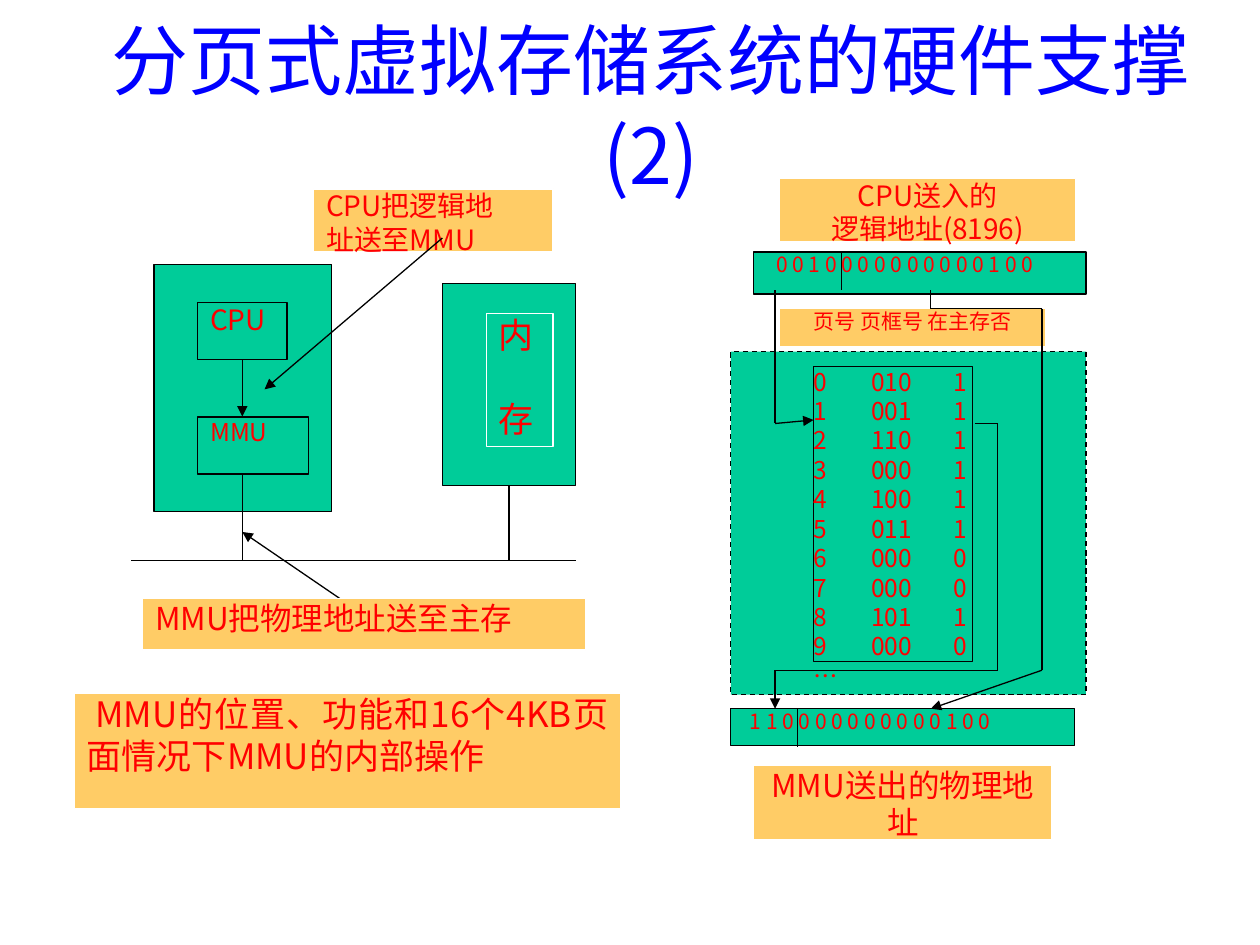
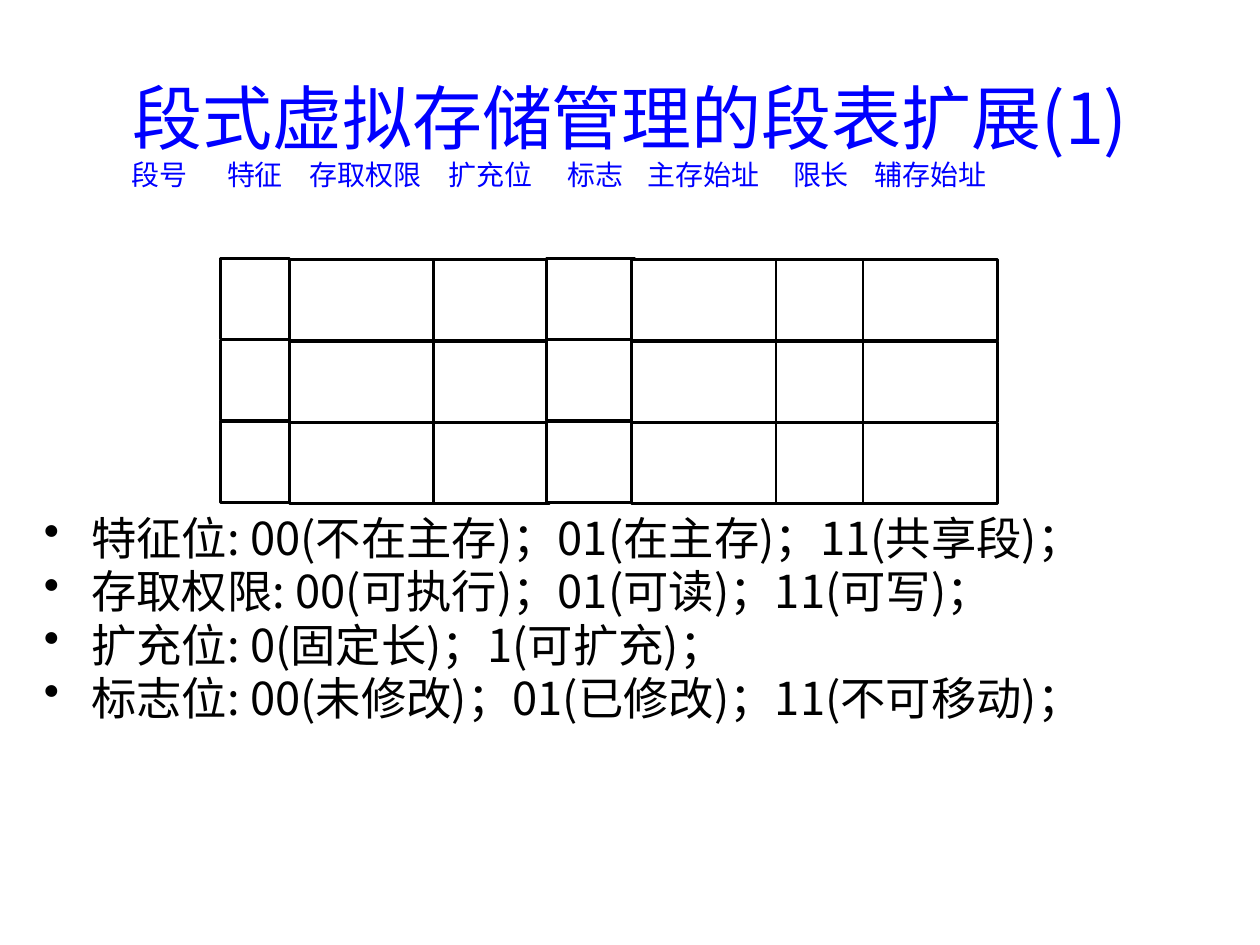
from itertools import pairwise

from lxml.etree import SubElement
from pptx import Presentation
from pptx.dml.color import RGBColor
from pptx.enum.dml import MSO_LINE
from pptx.enum.shapes import MSO_CONNECTOR, MSO_SHAPE
from pptx.enum.text import MSO_ANCHOR, PP_ALIGN
from pptx.oxml.ns import qn
from pptx.util import Pt

BLACK = RGBColor(0x00, 0x00, 0x00)
WHITE = RGBColor(0xFF, 0xFF, 0xFF)
BLUE = RGBColor(0x00, 0x00, 0xFF)
RED = RGBColor(0xFF, 0x00, 0x00)
GREEN = RGBColor(0x00, 0xCC, 0x99)
ORANGE = RGBColor(0xFF, 0xCC, 0x66)

MAIN_FONT = "Noto Sans CJK JP"
LABEL_FONT = "Noto Sans CJK SC"
BOTTOM = 2

PAGE_TABLE = [
    "0\t010\t1", "1\t001\t1", "2\t110\t1", "3\t000\t1", "4\t100\t1", "5\t011\t1",
    "6\t000\t0", "7\t000\t0", "8\t101\t1", "9\t000\t0", "…",
]
# Left and width of each field name
FIELD_NAMES = [
    ("段号", 0, 38), ("特征", 54.7, 38), ("存取权限", 98.6, 77), ("扩充位", 179.3, 58.3),
    ("标志", 242, 52.5), ("主存始址", 288.7, 82.8), ("限长", 377.3, 39.6),
    ("辅存始址", 421.2, 77),
]
# Left, width and vertical shift of each column of the segment table
FIELD_COLUMNS = [
    (54, 39.6, -0.7), (93.6, 82.8, 0), (175.7, 66.2, 0), (240.5, 50.4, -0.7),
    (288.7, 82.8, 0), (371.5, 51.1, 0), (421.2, 77, 0),
]
BIT_MEANINGS = [
    "特征位: 00(不在主存)；01(在主存)；11(共享段)；",
    "存取权限: 00(可执行)；01(可读)；11(可写)；",
    "扩充位: 0(固定长)；1(可扩充)；",
    "标志位: 00(未修改)；01(已修改)；11(不可移动)；",
]


def write(box, text, size, color=RED, font=MAIN_FONT, align=PP_ALIGN.LEFT,
          inset=(7.2, 0), spacing=None, gap=0, bullet=False, tabs=(), indent=0):
    """Fill the box with one paragraph for each line of the text."""
    frame = box.text_frame
    frame.word_wrap = True
    frame.margin_left = frame.margin_right = Pt(inset[0])
    frame.margin_top = frame.margin_bottom = Pt(inset[1])
    for index, line in enumerate(text.split("\n")):
        para = frame.add_paragraph() if index else frame.paragraphs[0]
        para.alignment = align
        para.line_spacing = spacing or Pt(round(size * 1.2, 1))
        if index and gap:
            para.space_before = Pt(gap)
        props = para._p.get_or_add_pPr()
        if bullet:
            props.set("marL", str(Pt(27)))
            props.set("indent", str(-Pt(27)))
            tint = SubElement(props, qn("a:buClr"))
            SubElement(tint, qn("a:srgbClr"), val=str(BLACK))
            SubElement(props, qn("a:buChar"), char="•")
        elif indent:
            props.set("indent", str(Pt(indent)))
        if tabs:
            stops = SubElement(props, qn("a:tabLst"))
            for stop in tabs:
                SubElement(stops, qn("a:tab"), pos=str(Pt(stop)), algn="l")
        span = para.add_run()
        span.text = line
        span.font.size = Pt(size)
        span.font.color.rgb = color
        span.font.name = font
        SubElement(span._r.get_or_add_rPr(), qn("a:ea"), typeface=font)


def add_text(page, left, top, width, height, text, size, **format):
    box = page.shapes.add_textbox(Pt(left), Pt(top), Pt(width), Pt(height))
    write(box, text, size, **format)


def add_title(page, left, top, width, text, size, leading):
    add_text(page, left, top, width, 2 * leading, text, size, color=BLUE,
             align=PP_ALIGN.CENTER, inset=(7.2, 3.6), spacing=Pt(leading))


class Region:
    """A part of a page whose shapes are placed from its own corner."""

    def __init__(self, page, left, top):
        self.page, self.left, self.top = page, left, top

    def block(self, left, top, width, height, text="", size=16, fill=GREEN,
              line=BLACK, line_width=0.75, dashed=False, **format):
        box = self.page.shapes.add_shape(
            MSO_SHAPE.RECTANGLE, Pt(self.left + left), Pt(self.top + top),
            Pt(width), Pt(height))
        box.shadow.inherit = False
        box.fill.solid()
        box.fill.fore_color.rgb = fill
        if line is None:
            box.line.fill.background()
        else:
            box.line.color.rgb = line
            box.line.width = Pt(line_width)
        if dashed:
            box.line.dash_style = MSO_LINE.DASH
        box.text_frame.vertical_anchor = MSO_ANCHOR.TOP
        if text:
            write(box, text, size, **format)
        return box

    def caption(self, left, top, width, height, text, size, **format):
        return self.block(left, top, width, height, text, size,
                          fill=ORANGE, line=WHITE, **format)

    def route(self, *points, arrow=False, last_width=0.75, source=None):
        """Draw straight lines from point to point, the last with the arrowhead."""
        legs = list(pairwise(points))
        for number, (start, end) in enumerate(legs, 1):
            is_last = number == len(legs)
            leg = self.page.shapes.add_connector(
                MSO_CONNECTOR.STRAIGHT,
                Pt(self.left + start[0]), Pt(self.top + start[1]),
                Pt(self.left + end[0]), Pt(self.top + end[1]))
            if source and number == 1:
                leg.begin_connect(source, BOTTOM)
            leg.line.color.rgb = BLACK
            leg.line.width = Pt(last_width if is_last else 0.75)
            props = leg._element.spPr
            if arrow and is_last:
                SubElement(props.find(qn("a:ln")), qn("a:tailEnd"), type="triangle")
            SubElement(props, qn("a:effectLst"))


def draw_mmu_position(page, left, top):
    region = Region(page, left, top)
    wire = 96
    bus = 212.5
    region.block(45.5, 43, 101.5, 141.5)
    cpu = region.block(70.5, 65, 51, 32.5, "CPU", 16)
    region.block(70.5, 130.3, 63.4, 32.5, "MMU", 14)
    region.route((wire, 97.5), (wire, 130), arrow=True, source=cpu)
    memory = region.block(210.3, 54, 76, 115.3)
    region.route((wire, 162.8), (wire, bus))
    region.route((32.5, bus), (286.5, bus))
    region.block(235.5, 71, 38, 76, "内\n存", 20, line=WHITE, gap=24)
    region.route((159, 239), (wire, 196), arrow=True)
    region.caption(136.8, 0, 136.8, 36, "CPU把逻辑地\n址送至MMU", 16)
    region.caption(39, 234, 253, 29.5, "MMU把物理地址送至主存", 18)
    region.caption(0, 288, 312, 66, "MMU的位置、功能和16个4KB页面情况下MMU的内部操作",
                   20, indent=5, align=PP_ALIGN.JUSTIFY)
    region.route((210.3, 28), (108.7, 114.5), arrow=True)
    region.route((248.3, 169.3), (248.3, bus), source=memory)


def draw_address_translation(page, left, top):
    region = Region(page, left, top)
    centered = {"align": PP_ALIGN.CENTER}
    region.block(0, 99, 203, 196, dashed=True)
    region.caption(28, 0, 169, 36, "CPU送入的\n逻辑地址(8196)", 16, **centered)
    region.block(13, 42, 190, 24, "0 0 1 0 0 0 0 0 0 0 0 0 0 1 0 0", 12, inset=(13, 0))
    region.block(0, 303, 196.6, 21, "1 1 0 0 0 0 0 0 0 0 0 0 1 0 0", 12, inset=(11, 0))
    region.caption(13, 335.5, 170.6, 42.5, "MMU送出的物理地址", 18, **centered)
    region.block(47.3, 107.5, 91, 168.5, "\n".join(PAGE_TABLE), 14,
                 inset=(0, 0), tabs=(33, 80))
    region.caption(28, 74.4, 152, 21.6, "页号 页框号 在主存否", 12, **centered)
    region.route((63.4, 42), (63.4, 64))
    region.route((38, 303), (38, 325))
    region.route((25.3, 64), (25.3, 140), (47.3, 138), arrow=True)
    region.route((139.5, 140), (152.5, 140), (152.5, 281), (25.3, 281), (25.3, 303),
                 arrow=True, last_width=1.5)
    region.route((114.3, 64), (114.3, 74.4), (177.8, 74.4), (177.8, 281), (114.3, 303),
                 arrow=True)


def draw_segment_table(page, left, top, row_count=3, row_pitch=46.7, cell_height=46.2):
    """Draw the field names and, below them, the empty cells."""
    region = Region(page, left, top)
    for name, name_left, width in FIELD_NAMES:
        region.block(name_left, 0, width, cell_height, name, 16, fill=WHITE, line=None,
                     color=BLUE, font=LABEL_FONT, align=PP_ALIGN.CENTER, inset=(0, 0))
    for column_left, width, shift in FIELD_COLUMNS:
        for row in range(row_count):
            region.block(column_left, 58.3 + shift + row * row_pitch, width, cell_height,
                         fill=WHITE, line_width=1.5)


def build_paging_page(page):
    add_title(page, 41, 2.5, 662, "分页式虚拟存储系统的硬件支撑(2)", 44, leading=54)
    draw_mmu_position(page, 42.5, 108)
    draw_address_translation(page, 417.6, 102)


def build_segment_page(page):
    add_title(page, 54, 39, 612, "段式虚拟存储管理的段表扩展(1)", 40, leading=48)
    add_text(page, 18, 294, 666, 252, "\n".join(BIT_MEANINGS), 25.9, color=BLACK,
             align=PP_ALIGN.JUSTIFY, inset=(7.2, 3.6), spacing=0.8, gap=5.6, bullet=True)
    draw_segment_table(page, 72, 90)


def main():
    deck = Presentation()
    deck.slide_width, deck.slide_height = Pt(720), Pt(540)
    blank = deck.slide_layouts[6]
    for build in (build_paging_page, build_segment_page):
        build(deck.slides.add_slide(blank))
    deck.save("out.pptx")


if __name__ == "__main__":
    main()
